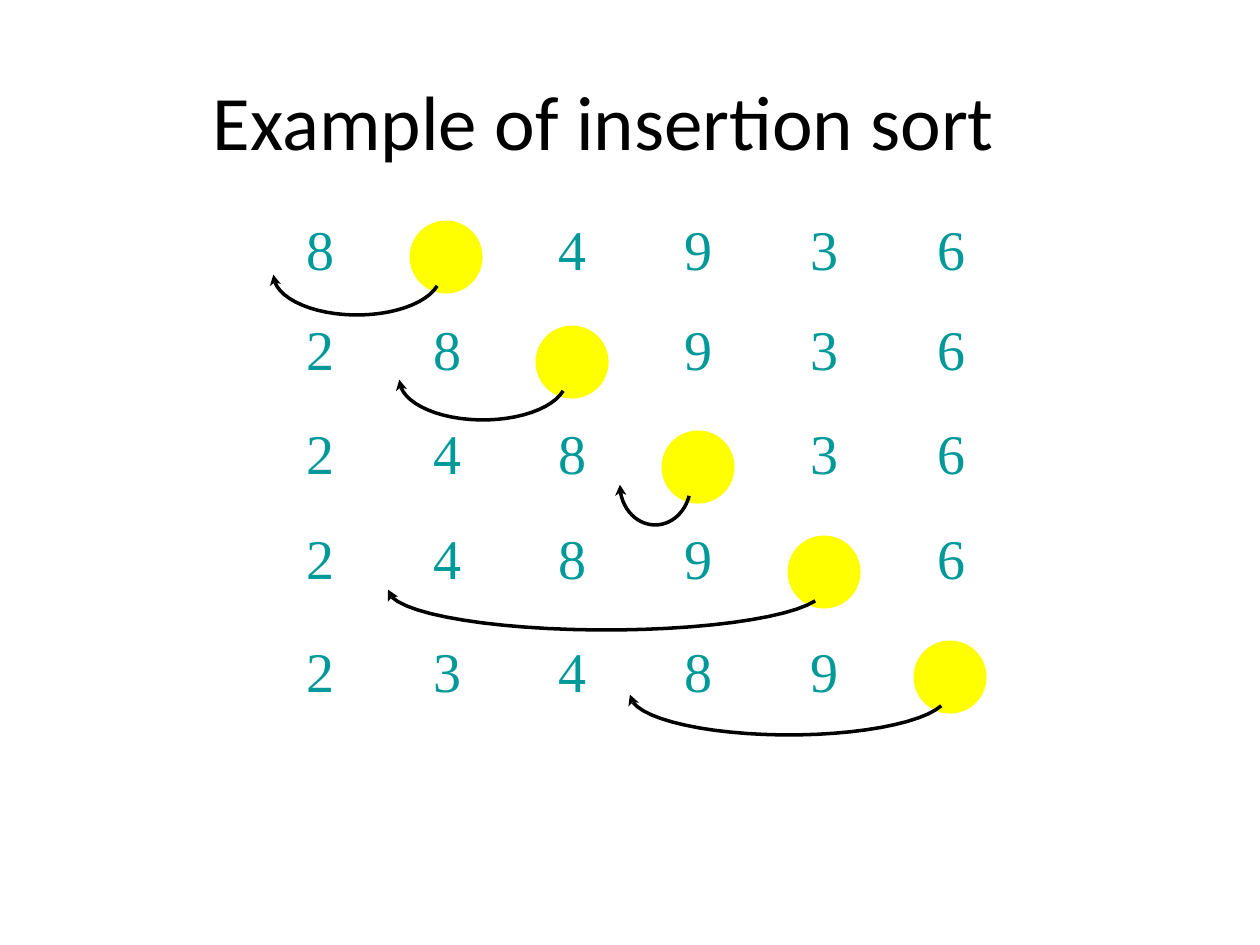
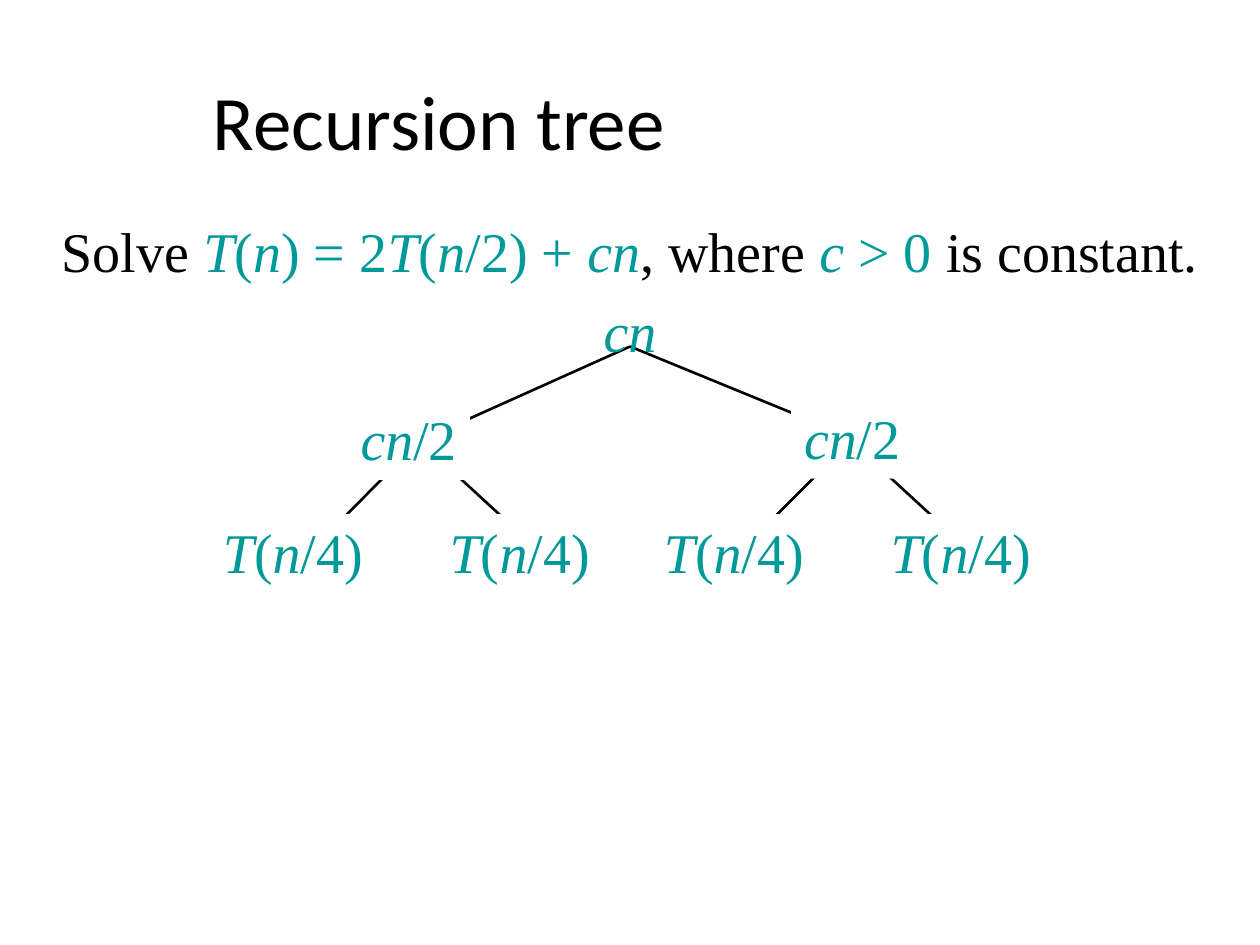
from dataclasses import dataclass
from itertools import groupby
from math import cos, hypot, pi, sin

from lxml.etree import SubElement
from pptx import Presentation
from pptx.dml.color import RGBColor
from pptx.enum.shapes import MSO_CONNECTOR, MSO_SHAPE
from pptx.enum.text import PP_ALIGN
from pptx.oxml.ns import qn
from pptx.util import Inches, Pt

COLUMNS, ROWS = 10, 7.5
CELL = Inches(1)


@dataclass(frozen=True)
class Theme:
    """Colours, fonts and type sizes of both slides."""
    ink: RGBColor = RGBColor(0x00, 0x00, 0x00)
    math: RGBColor = RGBColor(0x00, 0x99, 0x99)
    key: RGBColor = RGBColor(0xFF, 0xFF, 0x00)
    paper: RGBColor = RGBColor(0xFF, 0xFF, 0xFF)
    title_font: str = "Calibri"
    body_font: str = "Times New Roman"
    title_size: float = 44
    body_size: float = 32
    spacer_size: float = 4
    arrow_width: float = 2
    branch_width: float = 1.5


THEME = Theme()
PASSES = ["82  4936", "28  4936", "24  8936", "24  8936", " " * 8, "23  4896"]
PASS_HEIGHTS = [0.66, 0.83, 0.83, 0.88, 0.04, 0.58]
PASS_INSETS = [0, 0.13, 0.13, 0.13, 0, 0.08]
NUMBER_WIDTHS = [0.79, 0.75, 0.13, 0.07, 0.9, 1.39, 0.61, 0.65]
NUMBER_INDENTS = [0.03, 0, 0, 0, 0.29, 0.39, 0, 0]
NUMBER_ALIGNMENTS = [PP_ALIGN.LEFT, PP_ALIGN.CENTER] + [PP_ALIGN.LEFT] * 5 + [PP_ALIGN.RIGHT]
FIRST_KEY = (3.54, 1.75)
PASS_STEP = 5 / 6
KEY_SIZE = 0.58
INSERT_AT = [2.17, 3.17, 4.92, 3.08, 5.0]


def grid(*lengths):
    """Turn grid lengths into slide lengths."""
    return [int(length * CELL) for length in lengths]


def write(frame, *lines, font=THEME.body_font, size=THEME.body_size,
          align=PP_ALIGN.LEFT, inset_top=0, gap=0):
    """Write lines into a frame; parts between $ signs are mathematics."""
    frame.word_wrap = True
    frame.margin_left = frame.margin_right = frame.margin_bottom = 0
    frame.margin_top = Inches(inset_top)
    for index, line in enumerate(lines):
        paragraph = frame.paragraphs[0] if index == 0 else frame.add_paragraph()
        paragraph.alignment = align
        paragraph.space_before = Pt(gap if index else 0)
        for part, words in enumerate(line.split("$")):
            is_math = part % 2 == 1
            for is_symbol, letters in groupby(words, lambda c: is_math and c.isalpha()):
                run = paragraph.add_run()
                run.text = "".join(letters)
                run.font.name = font
                run.font.size = Pt(size)
                run.font.italic = is_symbol
                run.font.color.rgb = THEME.math if is_math else THEME.ink


def add_text(slide, box, *lines, fill=None, **style):
    """Place a text box, with a plain fill if one is given."""
    label = slide.shapes.add_textbox(*grid(*box))
    if fill is not None:
        label.fill.solid()
        label.fill.fore_color.rgb = fill
    write(label.text_frame, *lines, **style)


def add_titled_slide(deck, title):
    """Add a blank slide with the shared title."""
    slide = deck.slides.add_slide(deck.slide_layouts[6])
    add_text(slide, (1.69, 0.56, 6.61, 0.76), title, font=THEME.title_font,
             size=THEME.title_size, inset_top=0.02)
    return slide


def fill_number(cell, number, indent, align, inset):
    """Write one number of a pass, or keep a spacer cell small."""
    cell.fill.background()
    cell.margin_left = Inches(indent)
    cell.margin_right = Inches(0 if align == PP_ALIGN.LEFT else 0.03)
    cell.margin_top = Inches(inset)
    cell.margin_bottom = 0
    paragraph = cell.text_frame.paragraphs[0]
    if number == " ":
        SubElement(paragraph._p, qn("a:endParaRPr"), sz=str(THEME.spacer_size * 100))
    else:
        write_number = f"${number}$"
        write(cell.text_frame, write_number, align=align)


def add_passes(slide):
    """Show the sequence before each insertion as a table."""
    table = slide.shapes.add_table(
        len(PASSES), len(NUMBER_WIDTHS),
        *grid(2.4, 1.75, sum(NUMBER_WIDTHS), sum(PASS_HEIGHTS))).table
    table.first_row = table.horz_banding = False
    for column, width in zip(table.columns, NUMBER_WIDTHS):
        column.width = Inches(width)
    for row, height, numbers, inset in zip(table.rows, PASS_HEIGHTS, PASSES, PASS_INSETS):
        row.height = Inches(height)
        for cell, number, indent, align in zip(
                row.cells, numbers, NUMBER_INDENTS, NUMBER_ALIGNMENTS):
            fill_number(cell, number, indent, align, inset)


def add_key(slide, center, top):
    """Mark the key of a pass with a dot."""
    dot = slide.shapes.add_shape(
        MSO_SHAPE.OVAL, *grid(center - KEY_SIZE / 2, top, KEY_SIZE, KEY_SIZE))
    dot.shadow.inherit = False
    dot.fill.solid()
    dot.fill.fore_color.rgb = THEME.key
    dot.line.fill.background()


def add_outline(slide, points, closed):
    """Draw a filled outline if closed, else a line through the points."""
    corners = [grid(*point) for point in points]
    builder = slide.shapes.build_freeform(*corners[0], scale=1.0)
    builder.add_line_segments(corners[1:], close=closed)
    outline = builder.convert_to_shape()
    outline.shadow.inherit = False
    if closed:
        outline.fill.solid()
        outline.fill.fore_color.rgb = THEME.ink
        outline.line.fill.background()
    else:
        outline.fill.background()
        outline.line.color.rgb = THEME.ink
        outline.line.width = Pt(THEME.arrow_width)


def add_insertion(slide, start, tip, top, depth=0.32, steps=24):
    """Draw an elliptic arrow from a key to the place where it is inserted."""
    first, last = 0.09 * pi, 0.94 * pi
    radius = (start - tip) / (1 + cos(first))
    angles = [first + (last - first) * step / steps for step in range(steps + 1)]
    arc = [(tip + radius * (1 + cos(angle)), top + depth * sin(angle))
           for angle in angles]
    add_outline(slide, arc, closed=False)
    add_head(slide, (tip, top), arc[-1])


def add_head(slide, tip, notch, length=0.085, half_width=0.045):
    """Draw a barbed arrowhead pointing from its notch to its tip."""
    reach = hypot(tip[0] - notch[0], tip[1] - notch[1])
    across, down = (tip[0] - notch[0]) / reach, (tip[1] - notch[1]) / reach
    base = tip[0] - length * across, tip[1] - length * down
    barbs = [(base[0] + side * down, base[1] - side * across)
             for side in (half_width, -half_width)]
    add_outline(slide, [tip, barbs[0], notch, barbs[1]], closed=True)


def add_branches(slide, parent, *children):
    """Join a tree node to its children."""
    for child in children:
        branch = slide.shapes.add_connector(
            MSO_CONNECTOR.STRAIGHT, *grid(*parent, *child))
        branch.line.color.rgb = THEME.ink
        branch.line.width = Pt(THEME.branch_width)
        SubElement(branch._element.spPr, qn("a:effectLst"))


def add_node(slide, left, top, width, cost):
    """Place a tree node that covers the branch ends behind it."""
    add_text(slide, (left, top, width, 0.63), f"${cost}$", fill=THEME.paper,
             align=PP_ALIGN.CENTER, inset_top=0.03)


def build_insertion_sort(deck):
    """Build the slide that sorts six numbers."""
    slide = add_titled_slide(deck, "Example of insertion sort")
    add_passes(slide)
    for index, tip in enumerate(INSERT_AT):
        center = FIRST_KEY[0] + index
        top = FIRST_KEY[1] + index * PASS_STEP
        add_key(slide, center, top)
        add_insertion(slide, center - 0.07, tip, top + 0.43)


def build_recursion_tree(deck):
    """Build the slide with the recurrence and its tree."""
    slide = add_titled_slide(deck, "Recursion tree")
    add_branches(slide, (5, 2.75), (3.33, 3.5), (6.83, 3.5))
    add_text(slide, (0.4, 1.6, COLUMNS - 0.8, 1.32),
             "Solve $T(n) = 2T(n/2) + cn$, where $c > 0$ is constant.", "$cn$",
             align=PP_ALIGN.CENTER, inset_top=0.12, gap=7)
    add_branches(slide, (3.33, 3.5), (2.42, 4.42), (4.33, 4.42))
    add_branches(slide, (6.75, 3.5), (5.83, 4.42), (7.75, 4.42))
    for left in (1.67, 3.47, 5.17, 6.97):
        add_node(slide, left, 4.08, 1.31, "T(n/4)")
    for left, top in ((2.76, 3.18), (6.28, 3.17)):
        add_node(slide, left, top, 0.97, "cn/2")


def main():
    """Build and save both slides."""
    deck = Presentation()
    deck.slide_width, deck.slide_height = grid(COLUMNS, ROWS)
    build_insertion_sort(deck)
    build_recursion_tree(deck)
    deck.save("out.pptx")


main()
